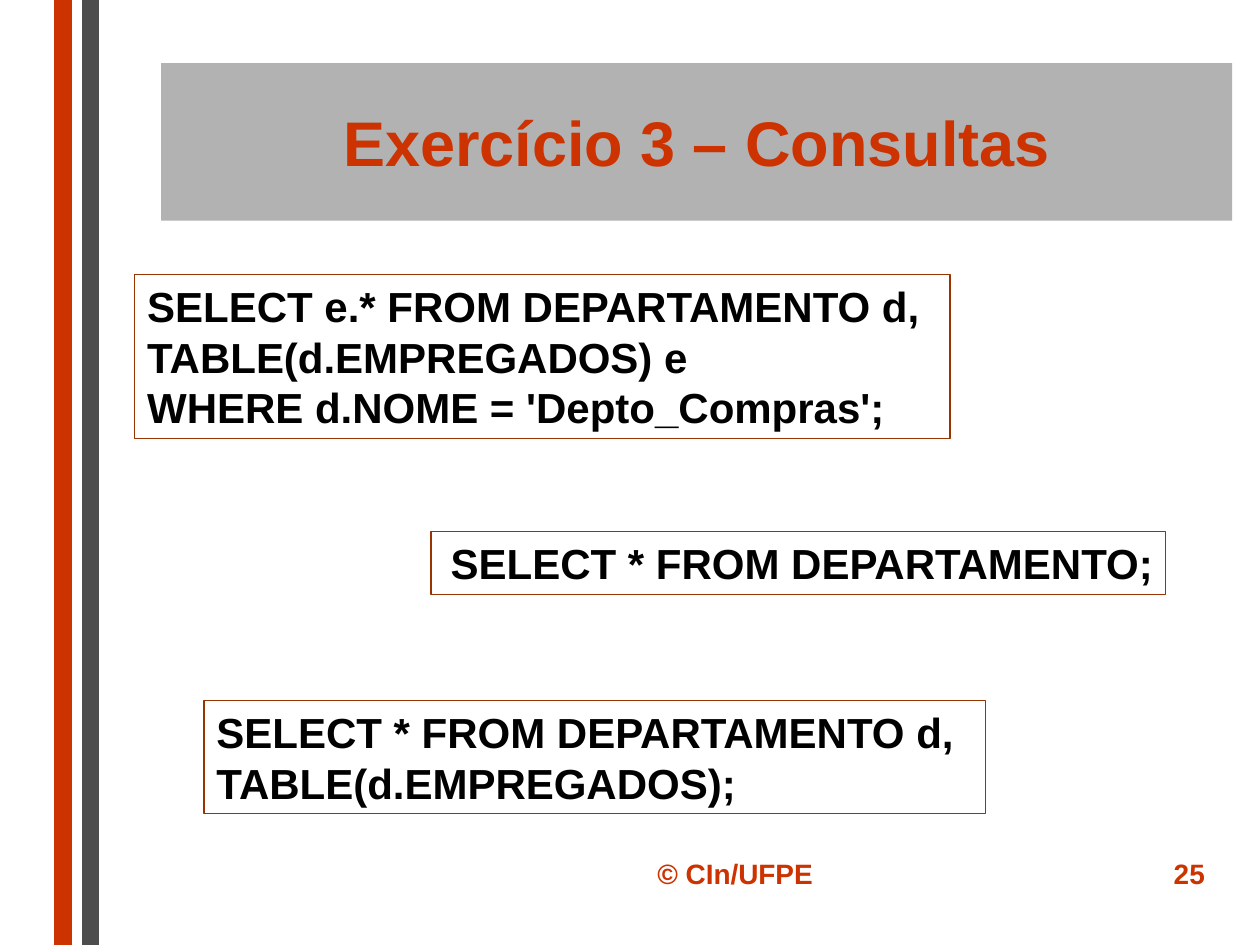
from dataclasses import dataclass
from typing import Optional

from lxml import etree
from pptx import Presentation
from pptx import util as u
from pptx.dml.color import RGBColor
from pptx.enum import shapes, text
from pptx.oxml import ns

WIDTH, HEIGHT = u.Inches(10), u.Inches(7.5)
FONT = "Arial"
ORANGE = RGBColor(0xCC, 0x33, 0x00)
BROWN = RGBColor(0x99, 0x33, 0x00)
DARK_GRAY = RGBColor(0x4D, 0x4D, 0x4D)
LIGHT_GRAY = RGBColor(0xB2, 0xB2, 0xB2)
BLACK = RGBColor(0, 0, 0)
LEFT, CENTER, RIGHT = text.PP_ALIGN.LEFT, text.PP_ALIGN.CENTER, text.PP_ALIGN.RIGHT


@dataclass(frozen=True)
class Stripe:
    x: float
    color: RGBColor


@dataclass(frozen=True)
class Panel:
    left: float
    top: float
    width: float
    height: float
    lines: tuple[str, ...]
    size: int = 24
    color: RGBColor = BLACK
    align: text.PP_ALIGN = LEFT
    anchor: text.MSO_ANCHOR = text.MSO_ANCHOR.TOP
    fill: Optional[RGBColor] = None
    border: Optional[RGBColor] = None


STRIPES = (Stripe(5, ORANGE), Stripe(7.2, DARK_GRAY))

TITLE = Panel(12.8, 6.67, 85, 16.67, ("Exercício 3 – Consultas",), 36, ORANGE,
              CENTER, text.MSO_ANCHOR.MIDDLE, fill=LIGHT_GRAY)

QUERIES = (
    Panel(10.7, 29.07, 64.7, 17.33,
          ("SELECT e.* FROM DEPARTAMENTO d,",
           "TABLE(d.EMPREGADOS) e",
           "WHERE d.NOME = 'Depto_Compras';"), border=BROWN),
    Panel(34.2, 56.27, 58.3, 6.67,
          ("SELECT * FROM DEPARTAMENTO;",), align=RIGHT, border=BROWN),
    Panel(16.2, 74.13, 62, 12,
          ("SELECT * FROM DEPARTAMENTO d,",
           "TABLE(d.EMPREGADOS);"), border=BROWN),
)

FOOTERS = (
    Panel(42.5, 90, 31.7, 6.67, ("© CIn/UFPE",), 16, ORANGE, CENTER),
    Panel(75.8, 90, 20.8, 6.67, ("25",), 16, ORANGE, RIGHT),
)


def across(percent: float) -> int:
    return round(WIDTH * percent / 100)


def down(percent: float) -> int:
    return round(HEIGHT * percent / 100)


def draw_stripe(slide, stripe: Stripe) -> None:
    x = across(stripe.x)
    connector = slide.shapes.add_connector(
        shapes.MSO_CONNECTOR.STRAIGHT, x, 0, x, HEIGHT)
    connector.line.color.rgb = stripe.color
    connector.line.width = u.Pt(9.75)
    etree.SubElement(connector.element.spPr, ns.qn("a:effectLst"))


def write_lines(shape, panel: Panel) -> None:
    frame = shape.text_frame
    frame.word_wrap = True
    frame.vertical_anchor = panel.anchor
    for index, line in enumerate(panel.lines):
        paragraph = frame.add_paragraph() if index else frame.paragraphs[0]
        paragraph.alignment = panel.align
        run = paragraph.add_run()
        run.text = line
        run.font.name = FONT
        run.font.size = u.Pt(panel.size)
        run.font.bold = True
        run.font.color.rgb = panel.color


def draw_panel(slide, panel: Panel) -> None:
    place = (across(panel.left), down(panel.top),
             across(panel.width), down(panel.height))
    if panel.fill is None and panel.border is None:
        shape = slide.shapes.add_textbox(*place)
    else:
        shape = slide.shapes.add_shape(shapes.MSO_SHAPE.RECTANGLE, *place)
        shape.shadow.inherit = False
        if panel.fill is None:
            shape.fill.background()
        else:
            shape.fill.solid()
            shape.fill.fore_color.rgb = panel.fill
        if panel.border is None:
            shape.line.fill.background()
        else:
            shape.line.color.rgb = panel.border
            shape.line.width = u.Pt(0.75)
    write_lines(shape, panel)


def main() -> None:
    presentation = Presentation()
    presentation.slide_width, presentation.slide_height = WIDTH, HEIGHT
    slide = presentation.slides.add_slide(presentation.slide_layouts[6])
    for stripe in STRIPES:
        draw_stripe(slide, stripe)
    for panel in (TITLE, *QUERIES, *FOOTERS):
        draw_panel(slide, panel)
    presentation.save("out.pptx")


if __name__ == "__main__":
    main()
